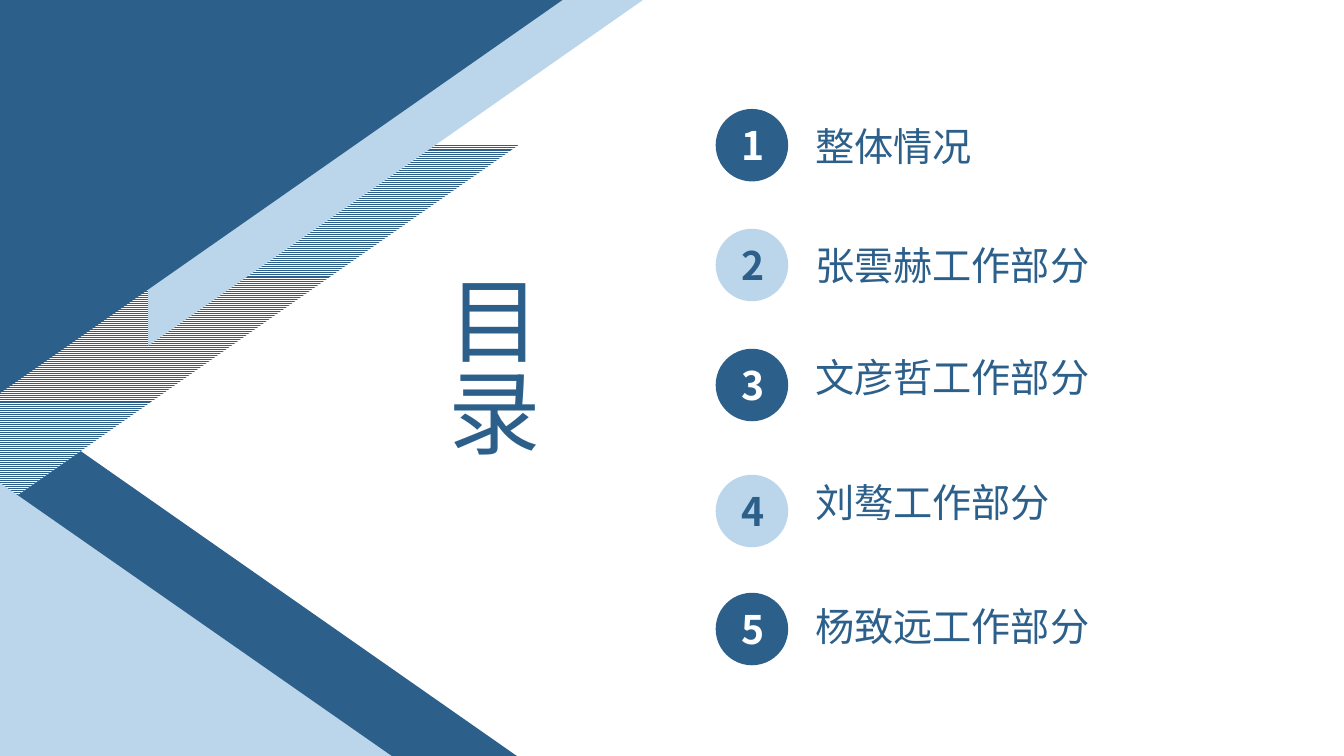
from dataclasses import dataclass
from lxml import etree
from pptx import Presentation
from pptx.dml.color import RGBColor
from pptx.enum.dml import MSO_PATTERN
from pptx.enum.shapes import MSO_SHAPE as Preset
from pptx.enum.text import MSO_AUTO_SIZE as AutoSize, PP_ALIGN as Align
from pptx.oxml.ns import qn
from pptx.util import Pt

# Content
TITLE = "目录"
# label, top of circle, top of label
ENTRIES = [
    ("整体情况", 77.8, 83.5),
    ("张雲赫工作部分", 163.4, 168.5),
    ("文彦哲工作部分", 249.1, 249.1),
    ("刘骜工作部分", 339.1, 338.4),
    ("杨致远工作部分", 423.4, 427),
]
# fill, corner side, visible left, top, width, height; back to front
TRIANGLES = [
    ("dark", "lower", 0, 281.9, 370.8, 259.2),
    ("stripes", "upper", 0, 103.3, 370.8, 259.2),
    ("light", "upper", 105.8, 0, 353.5, 247),
    ("dark", "upper", 0, 0, 401.8, 280.8),
    ("light", "lower", 0, 344.9, 280.8, 195.8),
]


@dataclass(frozen=True)
class Theme:
    dark: RGBColor = RGBColor(0x2C, 0x60, 0x8B)
    light: RGBColor = RGBColor(0xBB, 0xD6, 0xEA)
    white: RGBColor = RGBColor(0xFF, 0xFF, 0xFF)
    font: str = "Noto Sans CJK SC"
    title_size: int = 66
    entry_size: int = 28


THEME = Theme()
CIRCLE_LEFT, CIRCLE_SIZE = 511.2, 51.8
NUMBER_WIDTH, LINE_HEIGHT = 28.8, 41
LABEL_LEFT, LABEL_WIDTH = 575.3, 211.7


def add_preset(page, preset, left, top, width, height, fill):
    shape = page.shapes.add_shape(preset, Pt(left), Pt(top), Pt(width), Pt(height))
    shape.shadow.inherit = False
    shape.line.fill.background()
    if fill == "stripes":
        shape.fill.patterned()
        shape.fill.pattern = MSO_PATTERN.LIGHT_HORIZONTAL
        shape.fill.fore_color.rgb = THEME.dark
        shape.fill.back_color.rgb = THEME.white
    else:
        shape.fill.solid()
        shape.fill.fore_color.rgb = getattr(THEME, fill)
    return shape


def add_triangle(page, fill, corner, left, top, width, height):
    # A quarter turn swaps the sides around the same centre
    shift = (width - height) / 2
    shape = add_preset(page, Preset.RIGHT_TRIANGLE, left + shift, top - shift,
                       height, width, fill)
    shape.rotation = 90
    if corner == "lower":
        shape.element.spPr.find(qn("a:xfrm")).set("flipH", "1")


def add_text(page, text, left, top, width, height, size, color, bold=False, wrap=True):
    box = page.shapes.add_textbox(Pt(left), Pt(top), Pt(width), Pt(height))
    frame = box.text_frame
    frame.word_wrap = wrap
    frame.auto_size = AutoSize.SHAPE_TO_FIT_TEXT
    span = frame.paragraphs[0].add_run()
    span.text = text
    span.font.size = Pt(size)
    span.font.bold = bold
    span.font.color.rgb = color
    span.font.name = THEME.font
    east_asian = etree.SubElement(span.font._element, qn("a:ea"))
    east_asian.set("typeface", THEME.font)
    return frame


def main():
    deck = Presentation()
    deck.slide_width, deck.slide_height = Pt(960), Pt(540)
    page = deck.slides.add_slide(deck.slide_layouts[6])

    # Corner triangles
    for triangle in TRIANGLES:
        add_triangle(page, *triangle)

    # Vertical title
    title = add_text(page, TITLE, 299.5, 188.6, 94.3, 159.1, THEME.title_size, THEME.dark)
    title.paragraphs[0].alignment = Align.JUSTIFY
    title._txBody.bodyPr.set("vert", "eaVert")

    # Numbered entries, in alternating colours
    number_left = CIRCLE_LEFT + (CIRCLE_SIZE - NUMBER_WIDTH) / 2
    number_drop = (CIRCLE_SIZE - LINE_HEIGHT) / 2
    for number, (label, circle_top, label_top) in enumerate(ENTRIES, 1):
        fill, ink = ("dark", THEME.white) if number % 2 else ("light", THEME.dark)
        add_preset(page, Preset.OVAL, CIRCLE_LEFT, circle_top, CIRCLE_SIZE, CIRCLE_SIZE, fill)
        add_text(page, str(number), number_left, circle_top + number_drop, NUMBER_WIDTH,
                 LINE_HEIGHT, THEME.entry_size, ink, bold=True, wrap=False)
        add_text(page, label, LABEL_LEFT, label_top, LABEL_WIDTH, LINE_HEIGHT,
                 THEME.entry_size, THEME.dark)

    deck.save("out.pptx")


if __name__ == "__main__":
    main()
